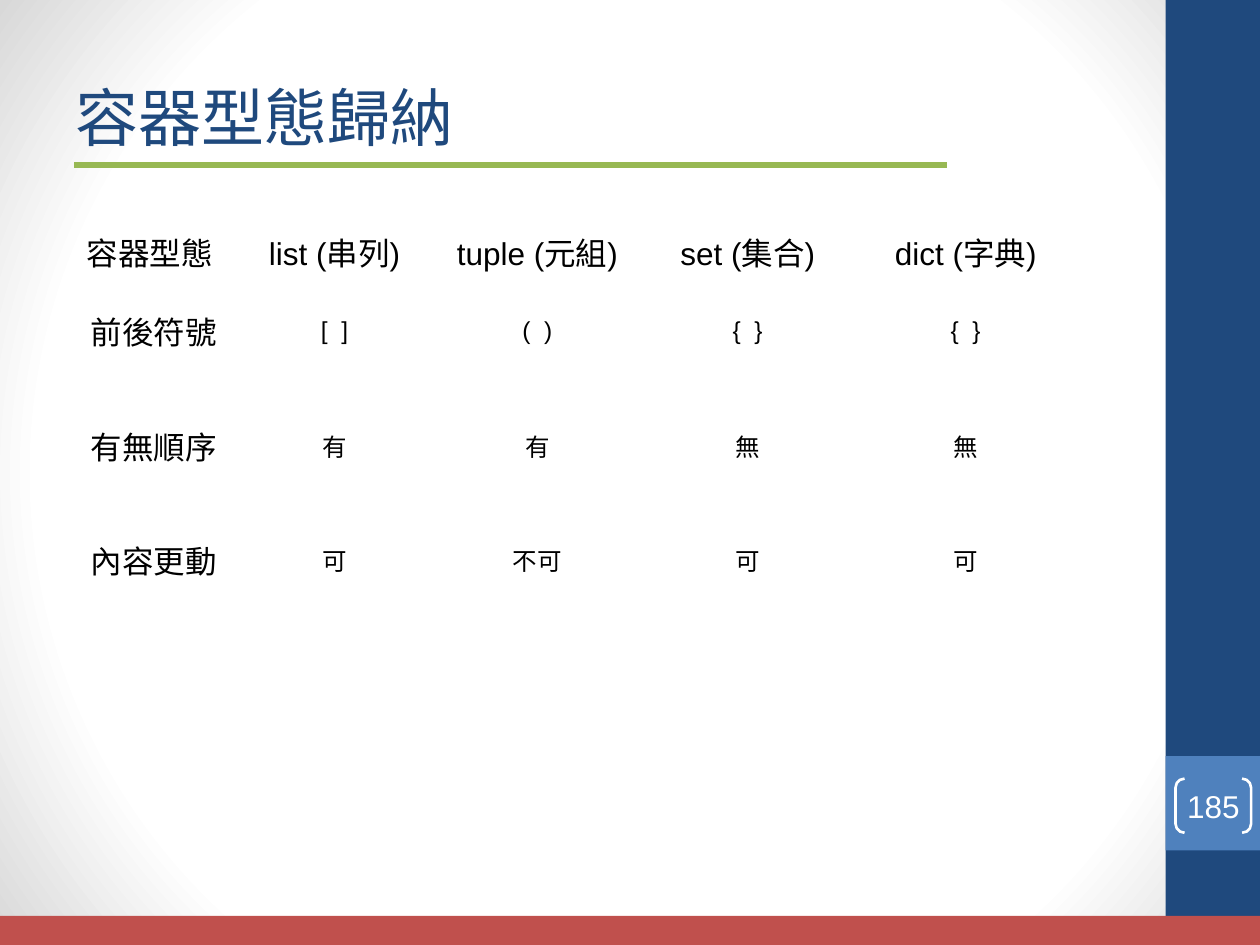
from dataclasses import dataclass

from pptx import Presentation
from pptx.dml.color import RGBColor
from pptx.enum.shapes import MSO_CONNECTOR, MSO_SHAPE
from pptx.enum.text import MSO_ANCHOR, PP_ALIGN
from pptx.oxml import parse_xml
from pptx.oxml.ns import nsdecls, qn
from pptx.util import Inches, Pt

COLORS = {
    "navy": "1F497D", "blue": "4F81BD", "red": "C0504D", "green": "97B853",
    "white": "FFFFFF", "gray": "D8D8D8", "black": "000000",
}
FONT = "Arial"
NO_STYLE = "{2D5ABB26-0587-4C30-8999-92F81FD0307C}"
COL_WIDTHS = [1.26, 1.61, 1.61, 1.73, 1.73]
ROW_HEIGHTS = [0.25, 0.91, 0.91, 0.91]
ROWS = [
    ["容器型態", "list (串列)", "tuple (元組)", "set (集合)", "dict (字典)"],
    ["前後符號", "[  ]", "(  )", "{  }", "{  }"],
    ["有無順序", "有", "有", "無", "無"],
    ["內容更動", "可", "不可", "可", "可"],
]


@dataclass
class Band:
    left: float
    top: float
    width: float
    height: float
    color: str


BANDS = [
    Band(9.25, 0, 0.75, 7.5, "navy"),
    Band(9.25, 6, 0.75, 0.75, "blue"),
    Band(0, 7.27, 10, 0.23, "red"),
]


def rgb(name: str) -> RGBColor:
    return RGBColor.from_string(COLORS[name])


def set_background(s) -> None:
    """Radial gradient, white in the middle and gray at the corners."""
    s.background.fill.solid()
    bg = s.element.cSld.bg.bgPr
    stops = "".join(
        f'<a:gs pos="{pos * 1000}"><a:srgbClr val="{COLORS[name]}"/></a:gs>'
        for pos, name in [(0, "white"), (75, "white"), (100, "gray")]
    )
    grad = parse_xml(
        f'<a:gradFill {nsdecls("a")} rotWithShape="1"><a:gsLst>{stops}</a:gsLst>'
        '<a:path path="circle"><a:fillToRect l="50000" t="50000" r="50000" b="50000"/>'
        "</a:path></a:gradFill>"
    )
    bg.replace(bg.find(qn("a:solidFill")), grad)


def write(tf, text: str, size: float, color: str, align=PP_ALIGN.LEFT) -> None:
    p = tf.paragraphs[0]
    p.text = text
    p.alignment = align
    p.font.name = FONT
    p.font.size = Pt(size)
    p.font.color.rgb = rgb(color)


def add_band(s, band: Band) -> None:
    sp = s.shapes.add_shape(
        MSO_SHAPE.RECTANGLE, Inches(band.left), Inches(band.top),
        Inches(band.width), Inches(band.height))
    sp.shadow.inherit = False
    sp.fill.solid()
    sp.fill.fore_color.rgb = rgb(band.color)
    sp.line.fill.background()


def add_title(s, text: str) -> None:
    sp = s.shapes.add_textbox(Inches(0.5), Inches(0.3), Inches(8.33), Inches(1.25))
    tf = sp.text_frame
    tf.word_wrap = True
    tf.vertical_anchor = MSO_ANCHOR.MIDDLE
    write(tf, text, 36, "navy")


def add_rule(s) -> None:
    line = s.shapes.add_connector(
        MSO_CONNECTOR.STRAIGHT, Inches(0.59), Inches(1.31), Inches(7.52), Inches(1.31))
    line.line.color.rgb = rgb("green")
    line.line.width = Pt(3)
    line.element.spPr.append(parse_xml(f'<a:effectLst {nsdecls("a")}/>'))


def add_container_table(s) -> None:
    frame = s.shapes.add_table(
        len(ROWS), len(COL_WIDTHS), Inches(0.59), Inches(1.77),
        Inches(sum(COL_WIDTHS)), Inches(sum(ROW_HEIGHTS)))
    table = frame.table
    table.first_row = table.horz_banding = False
    frame.element.find(".//" + qn("a:tableStyleId")).text = NO_STYLE
    for col, width in zip(table.columns, COL_WIDTHS):
        col.width = Inches(width)
    for row, height in zip(table.rows, ROW_HEIGHTS):
        row.height = Inches(height)
    for i, texts in enumerate(ROWS):
        for j, text in enumerate(texts):
            cell = table.cell(i, j)
            cell.fill.background()
            cell.vertical_anchor = MSO_ANCHOR.MIDDLE
            size = 18 if i == 0 or j == 0 else 14
            align = PP_ALIGN.LEFT if i == j == 0 else PP_ALIGN.CENTER
            write(cell.text_frame, text, size, "black", align)


def add_page_number(s, number: str) -> None:
    sp = s.shapes.add_shape(
        MSO_SHAPE.DOUBLE_BRACKET, Inches(9.33), Inches(6.18), Inches(0.6), Inches(0.43))
    sp.shadow.inherit = False
    sp.fill.background()
    sp.line.color.rgb = rgb("white")
    sp.line.width = Pt(1.5)
    tf = sp.text_frame
    tf.margin_left = tf.margin_right = tf.margin_top = tf.margin_bottom = 0
    tf.vertical_anchor = MSO_ANCHOR.MIDDLE
    write(tf, number, 18, "white", PP_ALIGN.CENTER)


def main() -> None:
    prs = Presentation()
    prs.slide_width, prs.slide_height = Inches(10), Inches(7.5)
    s = prs.slides.add_slide(prs.slide_layouts[6])
    set_background(s)
    # Frame of the slide
    for band in BANDS:
        add_band(s, band)
    add_rule(s)
    # Content
    add_title(s, "容器型態歸納")
    add_container_table(s)
    add_page_number(s, "185")
    prs.save("out.pptx")


if __name__ == "__main__":
    main()
